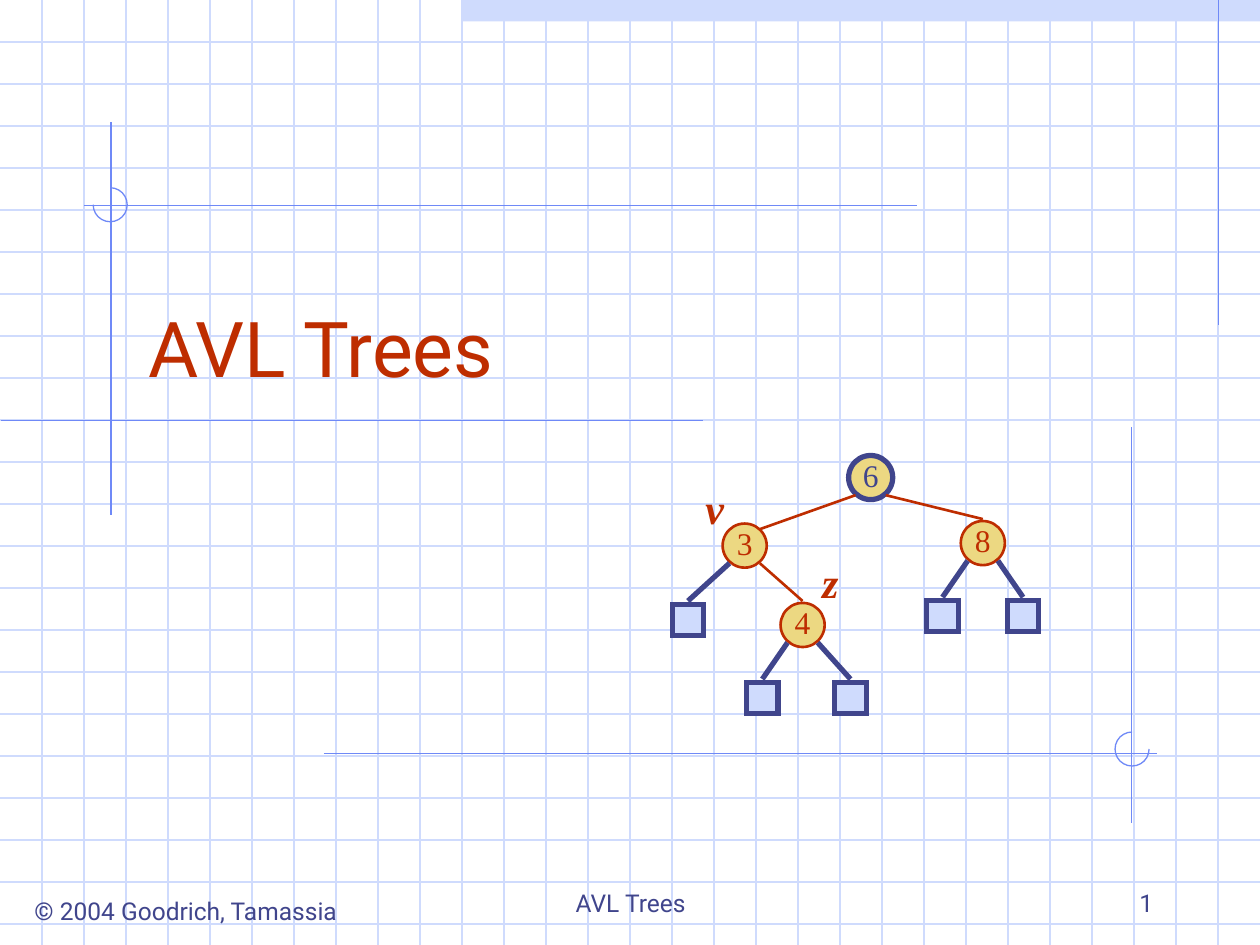
from dataclasses import dataclass

from lxml.etree import SubElement
from pptx import Presentation
from pptx.dml.color import RGBColor
from pptx.enum.shapes import MSO_CONNECTOR as Connector, MSO_SHAPE as Preset
from pptx.enum.text import MSO_ANCHOR as Anchor, PP_ALIGN as Align
from pptx.oxml.ns import qn
from pptx.util import Inches, Pt


@dataclass(frozen=True)
class Theme:
    """Colours, fonts and sizes of the deck."""
    pale: RGBColor = RGBColor.from_string("CFDBFD")
    blue: RGBColor = RGBColor.from_string("6F89F7")
    navy: RGBColor = RGBColor.from_string("40458C")
    red: RGBColor = RGBColor.from_string("BE2D00")
    gold: RGBColor = RGBColor.from_string("ECD882")
    sans: str = "Roboto"
    serif: str = "Times New Roman"
    title: int = 44
    tag: int = 24
    key: int = 18
    footer: int = 14
    thin: float = 0.75
    medium: float = 1.5
    thick: float = 3


@dataclass(frozen=True)
class Box:
    """A region in inches that places its parts."""
    left: float
    top: float
    width: float
    height: float

    def point(self, x, y):
        """Return a slide position for a point in the box."""
        return Inches(self.left + x), Inches(self.top + y)

    def area(self, x, y, width, height):
        """Return slide lengths for an area in the box."""
        return *self.point(x, y), Inches(width), Inches(height)


@dataclass(frozen=True)
class Node:
    """A tree node by centre; one without a key is a leaf."""
    x: float
    y: float
    key: str = ""
    children: tuple = ()
    joint: float = 0


THEME = Theme()
GRID_STEP = 1 / 3
KEY_SIZE, LEAF_SIZE = 0.35, 0.25
INSETS = (0.1, 0.05, 0.1, 0.05)
TREE = Node(1.58, 0.17, "6", (
    Node(0.58, 0.71, "3", (
        Node(0.13, 1.3),
        Node(1.04, 1.34, "4", (Node(0.72, 1.92), Node(1.42, 1.92))),
    ), joint=0.12),
    Node(2.47, 0.69, "8", (Node(2.15, 1.27), Node(2.79, 1.27))),
))
TAGS = {"v": (0.17, 0.16), "z": (1.09, 0.75)}


def draw_line(page, start, end, color, weight):
    """Draw a straight line without a shadow."""
    line = page.shapes.add_connector(Connector.STRAIGHT, *start, *end)
    line.line.color.rgb = color
    line.line.width = Pt(weight)
    SubElement(line._element.spPr, qn("a:effectLst"))


def draw_shape(page, preset, area, fill=None, outline=None, weight=THEME.thin):
    """Draw a flat preset shape with sharp corners."""
    shape = page.shapes.add_shape(preset, *area)
    shape.shadow.inherit = False
    if fill is None:
        shape.fill.background()
    else:
        shape.fill.solid()
        shape.fill.fore_color.rgb = fill
    if outline is None:
        shape.line.fill.background()
    else:
        shape.line.color.rgb = outline
        shape.line.width = Pt(weight)
        SubElement(shape._element.spPr.find(qn("a:ln")), qn("a:miter"), lim="800000")
    return shape


def write(shape, text, color, size, name, align=Align.CENTER, anchor=Anchor.TOP,
          insets=INSETS, wrap=True, **styles):
    """Fill a shape with one formatted paragraph."""
    frame = shape.text_frame
    sides = ("margin_left", "margin_top", "margin_right", "margin_bottom")
    formats = dict(zip(sides, map(Inches, insets)), word_wrap=wrap, vertical_anchor=anchor)
    for field, value in formats.items():
        setattr(frame, field, value)
    para = frame.paragraphs[0]
    para.alignment = align
    span = para.add_run()
    span.text = text
    for field, value in dict(styles, name=name, size=Pt(size)).items():
        setattr(span.font, field, value)
    span.font.color.rgb = color


def add_grid(page, box):
    """Draw the squared paper and its top band."""
    draw_shape(page, Preset.RECTANGLE, box.area(3.67, 0, 6.33, 0.17), THEME.pale)
    for row in range(1, int(box.height / GRID_STEP) + 1):
        y = row * GRID_STEP
        draw_line(page, box.point(0, y), box.point(box.width, y), THEME.pale, THEME.thin)
    for column in range(1, round(box.width / GRID_STEP)):
        x = column * GRID_STEP
        draw_line(page, box.point(x, 0), box.point(x, box.height), THEME.pale, THEME.thin)


def add_guides(page, box):
    """Draw the drafting lines and the arcs at their crossings."""
    guides = (
        ((9.67, 0), (9.67, 2.58)),
        ((0.88, 0.97), (0.88, 4.09)),
        ((0.01, 3.34), (5.58, 3.34)),
        ((0.67, 1.63), (7.28, 1.63)),
        ((2.57, 5.98), (9.18, 5.98)),
        ((8.98, 3.39), (8.98, 6.53)),
    )
    for start, end in guides:
        draw_line(page, box.point(*start), box.point(*end), THEME.blue, THEME.thin)
    for x, y, angles in ((0.74, 1.49, (162, 108)), (8.85, 5.81, (0, 162))):
        arc = draw_shape(page, Preset.ARC, box.area(x, y, 0.27, 0.27), outline=THEME.blue)
        for index, angle in enumerate(angles):
            arc.adjustments[index] = angle


def add_title(page, box):
    """Bring the title placeholder to the front, move and fill it."""
    title = page.shapes.title
    page.shapes._spTree.append(title._element)
    area = box.area(0, 0, box.width, box.height)
    for field, value in zip(("left", "top", "width", "height"), area):
        setattr(title, field, value)
    write(title, "AVL Trees", THEME.red, THEME.title, THEME.sans, Align.LEFT, Anchor.BOTTOM)


def add_footer(page, box):
    """Write the credit, the topic and the page number."""
    parts = (
        ("© 2004 Goodrich, Tamassia", (0, 0.23, 2.71, 0.34), Align.CENTER, Anchor.TOP, False),
        ("AVL Trees", (3.3, 0, 3.17, 0.5), Align.CENTER, Anchor.BOTTOM, True),
        ("1", (7.05, 0, 2.08, 0.5), Align.RIGHT, Anchor.BOTTOM, True),
    )
    for text, area, align, anchor, wrap in parts:
        label = page.shapes.add_textbox(*box.area(*area))
        write(label, text, THEME.navy, THEME.footer, THEME.sans, align, anchor, wrap=wrap)


def add_node(page, box, node, root=False):
    """Draw a node, its edges and its subtrees."""
    size = KEY_SIZE if node.key else LEAF_SIZE
    area = box.area(node.x - size / 2, node.y - size / 2, size, size)
    if not node.key:
        draw_shape(page, Preset.RECTANGLE, area, THEME.pale, THEME.navy, THEME.thick)
        return
    color, weight = (THEME.navy, THEME.thick) if root else (THEME.red, THEME.medium)
    circle = draw_shape(page, Preset.OVAL, area, THEME.gold, color, weight)
    write(circle, node.key, color, THEME.key, THEME.serif, anchor=Anchor.MIDDLE,
          insets=(0, 0, 0, 0.05), wrap=False)
    for child, side in zip(node.children, (-1, 1)):
        rise = 0.13 if child.joint else 0.19 if child.key else 0.15
        start = box.point(node.x + side * 0.12, node.y + 0.14)
        end = box.point(child.x + child.joint, child.y - rise)
        style = (THEME.red, THEME.medium) if child.key else (THEME.navy, THEME.thick)
        draw_line(page, start, end, *style)
        add_node(page, box, child)


def add_tree(page, box):
    """Draw the AVL tree with its node tags."""
    add_node(page, box, TREE, root=True)
    for text, corner in TAGS.items():
        tag = page.shapes.add_textbox(*box.area(*corner, 0.34, 0.5))
        write(tag, text, THEME.red, THEME.tag, THEME.serif, bold=True, italic=True)


def main():
    """Build and save the deck."""
    deck = Presentation()
    deck.slide_width, deck.slide_height = Inches(10), Inches(7.5)
    page = deck.slides.add_slide(deck.slide_layouts[5])
    whole = Box(0, 0, 10, 7.5)
    add_grid(page, whole)
    add_guides(page, whole)
    add_footer(page, Box(0.12, 6.83, 9.13, 0.57))
    add_title(page, Box(1.08, 1.92, 4.83, 1.25))
    add_tree(page, Box(5.33, 3.62, 2.92, 2.04))
    deck.save("out.pptx")


if __name__ == "__main__":
    main()
